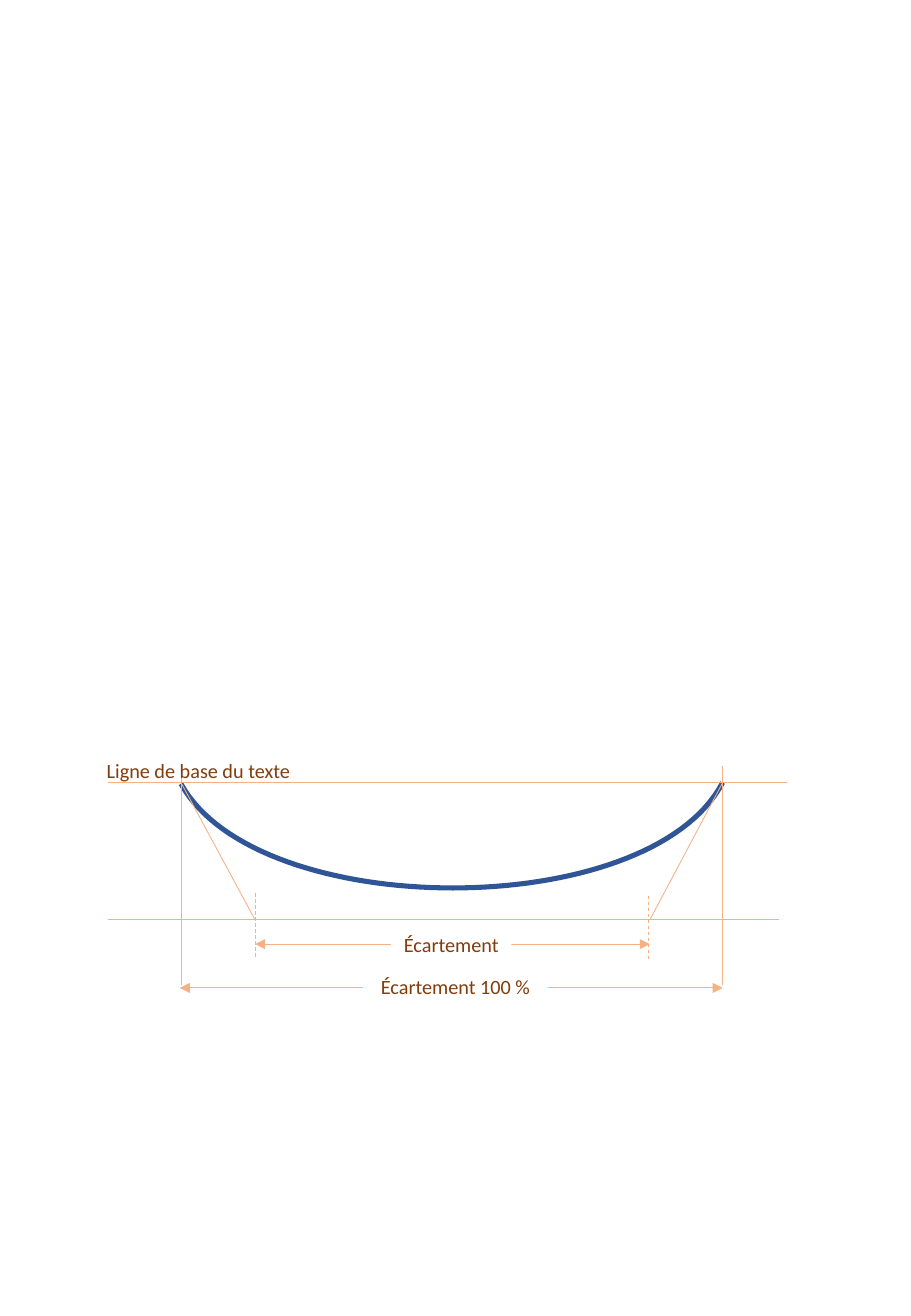
from pptx import Presentation
from pptx.dml.color import RGBColor
from pptx.enum.dml import MSO_LINE
from pptx.enum.shapes import MSO_CONNECTOR, MSO_SHAPE
from pptx.enum.text import MSO_ANCHOR, MSO_AUTO_SIZE, PP_ALIGN
from pptx.oxml.ns import qn
from pptx.util import Pt
from lxml import etree

PX = 9144
WIDE, HIGH = 750, 1083
BLUE = RGBColor(0x2F, 0x55, 0x97)
PEACH = RGBColor(0xF4, 0xB1, 0x83)
BROWN = RGBColor(0x84, 0x3C, 0x0B)
WHITE = RGBColor(0xFF, 0xFF, 0xFF)
DASH = MSO_LINE.DASH
STRAIGHT = MSO_CONNECTOR.STRAIGHT
RECT = MSO_SHAPE.RECTANGLE
MIDDLE = MSO_ANCHOR.MIDDLE
LEFT, CENTER = PP_ALIGN.LEFT, PP_ALIGN.CENTER
GROW = MSO_AUTO_SIZE.SHAPE_TO_FIT_TEXT

BASE, LOW = 644, 757
EDGES = (149, 595)
FEET = (210, 535)
CURVE = ((149, 645), (212, 759), (534, 760), (595, 644))
STEPS = 64

RULES = [(89, LOW, 641, LOW), (89, BASE, 648, BASE)]
SLOPES = [(edge, BASE, foot, LOW) for edge, foot in zip(EDGES, FEET)]
POSTS = [(edge, 630, edge, 811) for edge in EDGES]
TICKS = [(210, 735, 210, 789), (534, 737, 534, 791)]
SPANS = [(210, 777, 535, 777), (148, 813, 595, 813)]
LABELS = [
    ("Écartement", 322, 762, 99, CENTER, True),
    ("Ligne de base du texte", 78, 619, 173, LEFT, False),
    ("Écartement 100 %", 299, 797, 152, CENTER, True),
]
TALL = 30


def bezier(t):
    parts = ((1 - t) ** 3, 3 * t * (1 - t) ** 2, 3 * t * t * (1 - t), t ** 3)
    return tuple(round(PX * sum(p * c[axis] for p, c in zip(parts, CURVE)))
                 for axis in (0, 1))


def draw_curve(slide):
    dots = [bezier(i / STEPS) for i in range(STEPS + 1)]
    pen = slide.shapes.build_freeform(*dots[0])
    pen.add_line_segments(dots[1:], close=False)
    arc = pen.convert_to_shape()
    arc.shadow.inherit = False
    arc.fill.background()
    arc.line.color.rgb = BLUE
    arc.line.width = Pt(3)


def draw_line(slide, ends, dashed=False, arrows=False):
    link = slide.shapes.add_connector(STRAIGHT, *(PX * n for n in ends))
    link.line.color.rgb = PEACH
    link.line.width = Pt(0.5)
    if dashed:
        link.line.dash_style = DASH
    props = link._element.spPr
    if arrows:
        for tag in ("a:headEnd", "a:tailEnd"):
            etree.SubElement(props.find(qn("a:ln")), qn(tag), type="triangle")
    etree.SubElement(props, qn("a:effectLst"))


def draw_label(slide, text, x, y, wide, align, filled):
    place = [PX * n for n in (x, y, wide, TALL)]
    if filled:
        box = slide.shapes.add_shape(RECT, *place)
        box.shadow.inherit = False
        box.fill.solid()
        box.fill.fore_color.rgb = WHITE
        box.line.fill.background()
    else:
        box = slide.shapes.add_textbox(*place)
    frame = box.text_frame
    frame.word_wrap = False
    frame.auto_size = GROW
    frame.vertical_anchor = MIDDLE
    para = frame.paragraphs[0]
    para.alignment = align
    run = para.add_run()
    run.text = text
    run.font.name = "Calibri"
    run.font.size = Pt(12)
    run.font.color.rgb = BROWN


def main():
    deck = Presentation()
    deck.slide_width, deck.slide_height = WIDE * PX, HIGH * PX
    slide = deck.slides.add_slide(deck.slide_layouts[6])
    draw_curve(slide)
    for ends in RULES + SLOPES + POSTS:
        draw_line(slide, ends)
    for ends in TICKS:
        draw_line(slide, ends, dashed=True)
    for ends in SPANS:
        draw_line(slide, ends, arrows=True)
    for label in LABELS:
        draw_label(slide, *label)
    deck.save("out.pptx")


if __name__ == "__main__":
    main()
